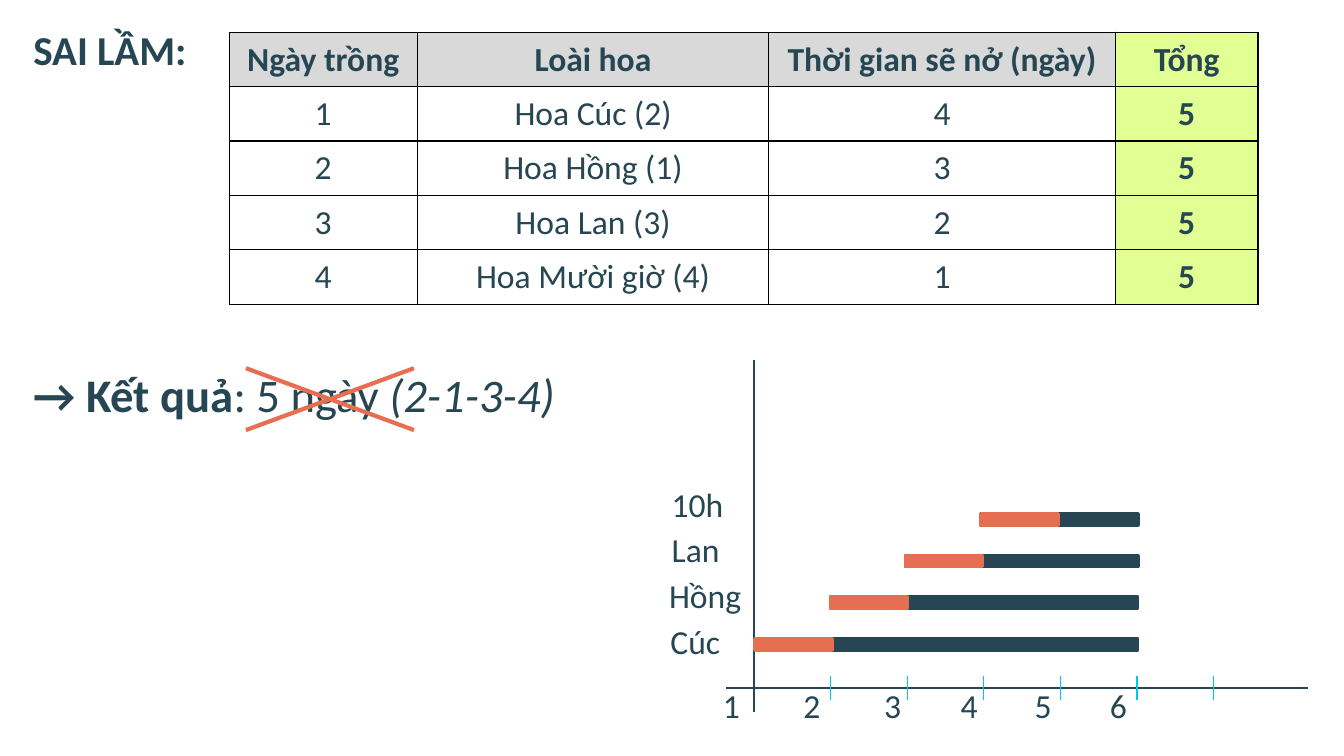
from dataclasses import dataclass

from pptx import Presentation
from pptx.dml.color import RGBColor
from pptx.enum.shapes import MSO_CONNECTOR, MSO_SHAPE
from pptx.enum.text import PP_ALIGN
from pptx.oxml import parse_xml
from pptx.oxml.ns import nsdecls, qn
from pptx.util import Emu, Pt

STRAIGHT = MSO_CONNECTOR.STRAIGHT
RECTANGLE = MSO_SHAPE.RECTANGLE
CENTER = PP_ALIGN.CENTER

EMU_PER_PX = 4572  # 200 px to the inch
FONT = "Calibri"
NAVY, ORANGE, CYAN = "264653", "E76F51", "00C9F1"
GREY, LIME, BLACK = "D9D9D9", "E2FF93", "000000"


@dataclass
class Run:
    text: str
    bold: bool = False
    italic: bool = False


@dataclass
class Box:
    left: int
    top: int
    width: int
    height: int


@dataclass
class Line:
    x1: int
    y1: int
    x2: int
    y2: int
    color: str
    weight: float


def px(value: int) -> Emu:
    return Emu(value * EMU_PER_PX)


def place(box: Box) -> tuple:
    return px(box.left), px(box.top), px(box.width), px(box.height)


def rgb(color: str) -> RGBColor:
    return RGBColor.from_string(color)


def add_runs(paragraph, runs: list[Run], size: int) -> None:
    for item in runs:
        run = paragraph.add_run()
        run.text = item.text
        run.font.name = FONT
        run.font.size = Pt(size)
        run.font.bold = item.bold
        run.font.italic = item.italic
        run.font.color.rgb = rgb(NAVY)


def add_text(shapes, box: Box, runs: list[Run], size: int = 18) -> None:
    frame = shapes.add_textbox(*place(box)).text_frame
    frame.word_wrap = True
    add_runs(frame.paragraphs[0], runs, size)


def add_line(shapes, line: Line) -> None:
    connector = shapes.add_connector(
        STRAIGHT, px(line.x1), px(line.y1), px(line.x2), px(line.y2))
    connector.line.color.rgb = rgb(line.color)
    connector.line.width = Pt(line.weight)
    properties = connector._element.spPr
    properties.append(parse_xml(f"<a:effectLst {nsdecls('a')}/>"))


def add_bar(shapes, box: Box, color: str) -> None:
    bar = shapes.add_shape(RECTANGLE, *place(box))
    bar.shadow.inherit = False
    bar.fill.solid()
    bar.fill.fore_color.rgb = rgb(color)
    bar.line.color.rgb = rgb(color)
    bar.line.width = Pt(2)
    outline = bar._element.spPr.find(qn("a:ln"))
    outline.append(parse_xml(f"<a:round {nsdecls('a')}/>"))


def style_cell(cell, fill: str | None) -> None:
    if fill:
        cell.fill.solid()
        cell.fill.fore_color.rgb = rgb(fill)
    else:
        cell.fill.background()
    properties = cell._tc.get_or_add_tcPr()
    for index, side in enumerate(("lnL", "lnR", "lnT", "lnB")):
        properties.insert(index, parse_xml(
            f'<a:{side} {nsdecls("a")} w="{Pt(0.75)}"><a:solidFill>'
            f'<a:srgbClr val="{BLACK}"/></a:solidFill></a:{side}>'))


def add_table(shapes, left: int, widths: list[int], rows: list[tuple],
              header_fill: str, body_fill: str | None, body_bold: bool) -> None:
    box = Box(left, 48, sum(widths), 81 * len(rows))
    table = shapes.add_table(len(rows), len(widths), *place(box)).table
    for column, width in zip(table.columns, widths):
        column.width = px(width)
    for row_index, row in enumerate(rows):
        is_header = row_index == 0
        for column_index, text in enumerate(row):
            cell = table.cell(row_index, column_index)
            style_cell(cell, header_fill if is_header else body_fill)
            paragraph = cell.text_frame.paragraphs[0]
            paragraph.alignment = CENTER
            add_runs(paragraph, [Run(text, is_header or body_bold)], 18)


def add_timeline(shapes) -> None:
    # Axes and day ticks
    add_line(shapes, Line(1080, 1024, 1946, 1024, NAVY, 1.5))
    add_line(shapes, Line(1122, 1060, 1122, 536, NAVY, 1.5))
    for day in range(6):
        x = 1236 + 114 * day
        add_line(shapes, Line(x, 1042, x, 1006, CYAN, 0.75))

    # Day numbers
    for day, left in enumerate((1056, 1176, 1296, 1410, 1520, 1632), start=1):
        add_text(shapes, Box(left, 1010, 70, 88), [Run(str(day))])

    # Each flower: one planting day, then growth until the shared bloom day
    bloom_end = 1693
    flowers = (("Cúc", 978), ("Hồng", 976), ("Lan", 980), ("10h", 980))
    for index, (name, label_left) in enumerate(flowers):
        start, top = 1124 + 112 * index, 951 - 62 * index
        add_bar(shapes, Box(start, top, bloom_end - start, 16), NAVY)
        add_bar(shapes, Box(start, top, 114, 16), ORANGE)
        label = Box(label_left, 914 - 68 * index, 154, 80)
        add_text(shapes, label, [Run(name)])


def main() -> None:
    presentation = Presentation()
    presentation.slide_width, presentation.slide_height = px(2000), px(1125)
    slide = presentation.slides.add_slide(presentation.slide_layouts[6])
    shapes = slide.shapes

    # Heading and tables
    add_text(shapes, Box(30, 26, 334, 94), [Run("SAI LẦM:", bold=True)], 22)
    flowers = [
        ("Ngày trồng", "Loài hoa", "Thời gian sẽ nở (ngày)"),
        ("1", "Hoa Cúc (2)", "4"),
        ("2", "Hoa Hồng (1)", "3"),
        ("3", "Hoa Lan (3)", "2"),
        ("4", "Hoa Mười giờ (4)", "1"),
    ]
    totals = [("Tổng",)] + [("5",)] * 4
    add_table(shapes, 341, [280, 523, 516], flowers, GREY, None, False)
    add_table(shapes, 1660, [212], totals, LIME, LIME, True)

    # Result, crossed out
    add_text(shapes, Box(30, 535, 868, 104), [
        Run("→ Kết quả", bold=True),
        Run(": 5 ngày "),
        Run("(2-1-3-4)", italic=True),
    ], 25)
    cross = shapes.add_group_shape().shapes
    for start, end in ((366, 616), (616, 366)):
        add_line(cross, Line(start, 548, end, 640, ORANGE, 2.25))

    # Planting timeline
    add_timeline(shapes.add_group_shape().shapes)

    presentation.save("out.pptx")


if __name__ == "__main__":
    main()
